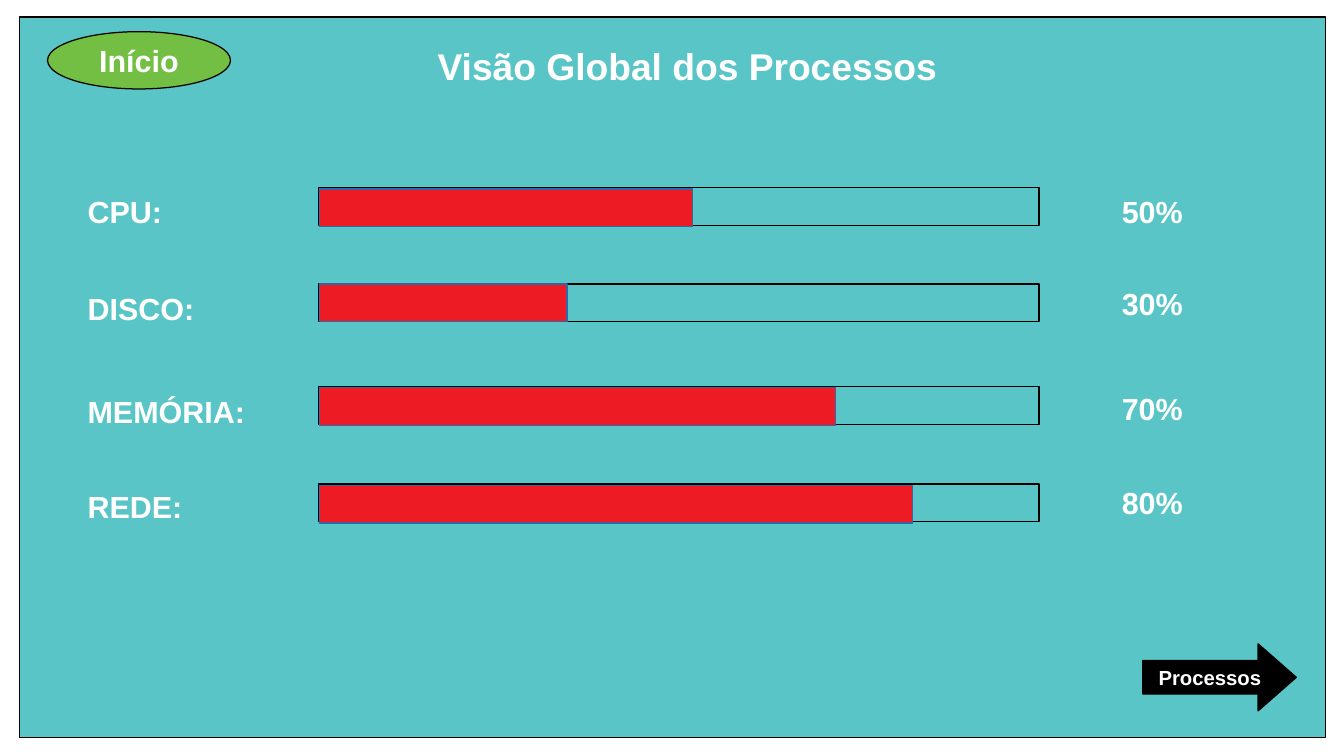
from pptx import Presentation
from pptx.dml.color import RGBColor
from pptx.enum import shapes, text
from pptx.util import Inches, Pt

COLORS = {
    "panel": "59C5C7",
    "button": "72BF44",
    "usage": "ED1C24",
    "usage_line": "3465A4",
    "black": "000000",
    "white": "FFFFFF",
}
FONT = "Arial"
BAR_LEFT, BAR_WIDTH, BAR_HEIGHT = 2.61, 5.91, 0.31

# label, label (top, width, height), track top, usage (top, width), percent, percent top
METERS = [
    ("CPU:", (1.53, 0.87, 0.38), 1.54, (1.55, 3.06), "50%", 1.53),
    ("DISCO:", (2.33, 1.12, 0.66), 2.33, (2.33, 2.03), "30%", 2.29),
    ("MEMÓRIA:", (3.17, 1.51, 0.38), 3.17, (3.18, 4.23), "70%", 3.15),
    ("REDE:", (3.95, 1.04, 0.66), 3.97, (3.98, 4.86), "80%", 3.92),
]


def rgb(name):
    return RGBColor.from_string(COLORS[name])


def write(sp, content, size, wrap=False):
    """Put one bold white line of text into a shape or text box."""
    tf = sp.text_frame
    tf.word_wrap = wrap
    tf.text = content
    font = tf.paragraphs[0].runs[0].font
    font.name, font.size, font.bold = FONT, Pt(size), True
    font.color.rgb = rgb("white")


def add_label(s, box, content, size=18, wrap=False):
    sp = s.shapes.add_textbox(*map(Inches, box))
    write(sp, content, size, wrap)
    sp.text_frame.auto_size = text.MSO_AUTO_SIZE.SHAPE_TO_FIT_TEXT


def add_block(s, kind, box, fill=None, line="black"):
    """Add a hairline preset shape, hollow when no fill is given."""
    sp = s.shapes.add_shape(kind, *map(Inches, box))
    sp.shadow.inherit = False
    if fill:
        sp.fill.solid()
        sp.fill.fore_color.rgb = rgb(fill)
    else:
        sp.fill.background()
    sp.line.color.rgb = rgb(line)
    sp.line.width = Pt(0)
    return sp


def add_button(s, kind, box, fill, content, size):
    sp = add_block(s, kind, box, fill)
    write(sp, content, size)
    sp.text_frame.vertical_anchor = text.MSO_ANCHOR.MIDDLE
    sp.text_frame.paragraphs[0].alignment = text.PP_ALIGN.CENTER
    return sp


def add_meter(s, label, label_box, track_top, usage, percent, percent_top):
    """Add one row: label, hollow track, red usage bar and percentage."""
    rect = shapes.MSO_SHAPE.RECTANGLE
    usage_top, usage_width = usage
    add_label(s, (0.62, *label_box), label, wrap=True)
    add_block(s, rect, (BAR_LEFT, track_top, BAR_WIDTH, BAR_HEIGHT))
    add_block(s, rect, (BAR_LEFT + 0.01, usage_top, usage_width, BAR_HEIGHT),
              "usage", "usage_line")
    add_label(s, (9.1, percent_top, 0.7, 0.38), percent)


def main():
    prs = Presentation()
    prs.slide_width, prs.slide_height = Inches(11.02), Inches(6.2)
    s = prs.slides.add_slide(prs.slide_layouts[6])
    preset = shapes.MSO_SHAPE

    add_block(s, preset.RECTANGLE, (0.16, 0.14, 10.71, 5.91), "panel")
    add_label(s, (3.49, 0.31, 4.3, 0.44), "Visão Global dos Processos", 22)
    add_button(s, preset.OVAL, (0.39, 0.26, 1.5, 0.47), "button", "Início", 18)
    for meter in METERS:
        add_meter(s, *meter)
    arrow = add_button(s, preset.RIGHT_ARROW, (9.37, 5.28, 1.26, 0.55),
                       "black", "Processos", 12)
    arrow.adjustments[0] = 0.5
    arrow.adjustments[1] = 0.57

    prs.save("out.pptx")


if __name__ == "__main__":
    main()
